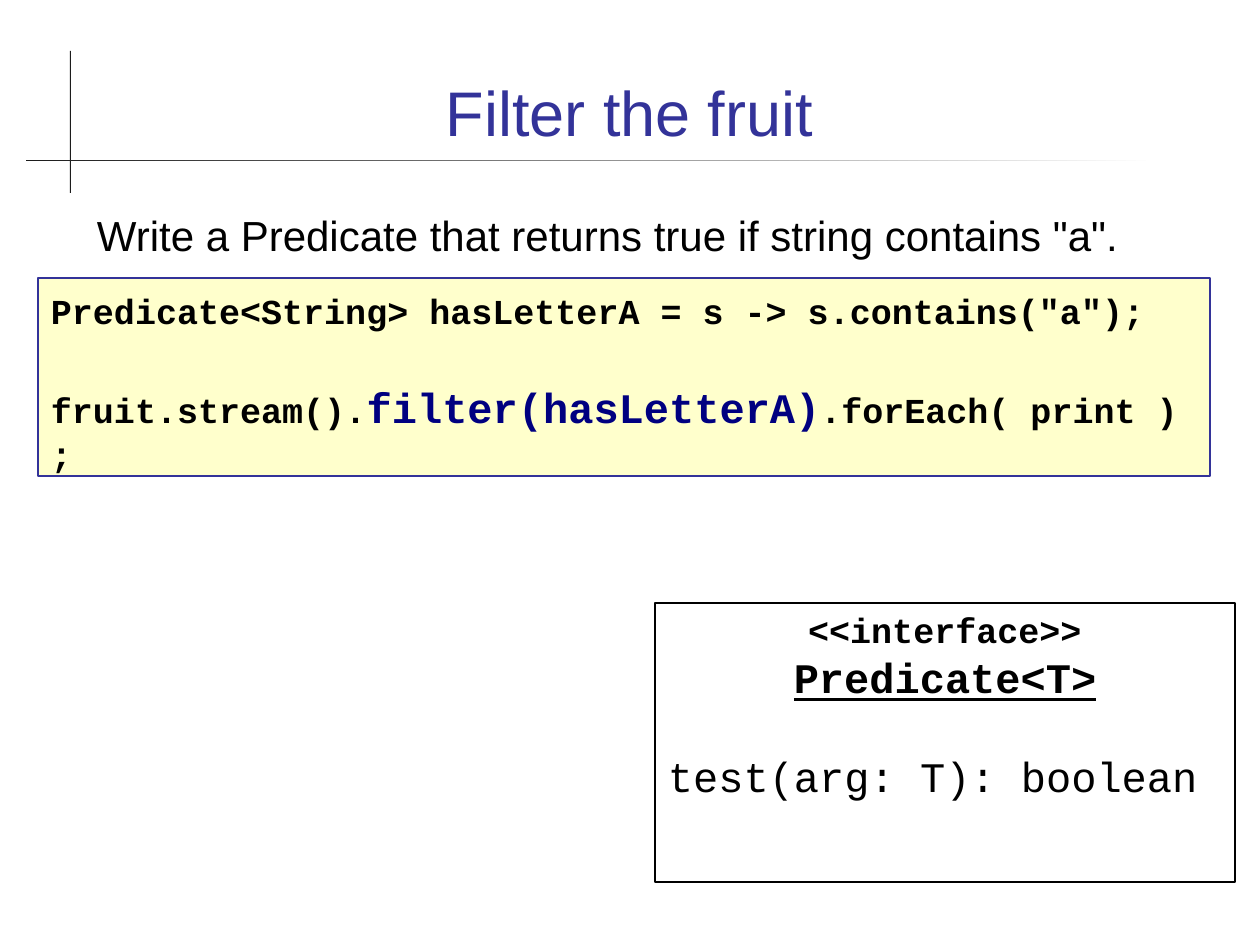
from dataclasses import dataclass
from typing import Optional

from pptx import Presentation
from pptx import util as u
from pptx.dml.color import RGBColor
from pptx.enum import shapes, text

EMU_PER_PX = 914400 / 126


@dataclass(frozen=True)
class Theme:
    sans: str = "Arial"
    mono: str = "Courier New"
    black: str = "000000"
    white: str = "FFFFFF"
    rule: str = "1C1C1C"
    title: str = "333399"
    highlight: str = "000080"
    code_fill: str = "FFFFCC"
    title_size: int = 36
    large: int = 24
    small: int = 20
    outline: float = 0.75


THEME = Theme()


@dataclass(frozen=True)
class Span:
    words: str
    size: int = THEME.large
    font: str = THEME.mono
    color: str = THEME.black
    bold: bool = False
    underline: bool = False


@dataclass(frozen=True)
class Para:
    spans: tuple[Span, ...]
    centered: bool = False
    before: float = 0


@dataclass(frozen=True)
class Box:
    left: int
    top: int
    width: int
    height: int
    paras: tuple[Para, ...] = ()
    fill: Optional[str] = None
    line: Optional[str] = None
    margin_top: int = 6
    bottom: bool = False


def px(length: int) -> u.Emu:
    return u.Emu(round(length * EMU_PER_PX))


def rgb(color: str) -> RGBColor:
    return RGBColor.from_string(color)


def add_para(paragraph, para: Para) -> None:
    paragraph.alignment = text.PP_ALIGN.CENTER if para.centered else text.PP_ALIGN.LEFT
    if para.before:
        paragraph.space_before = u.Pt(para.before)
    for span in para.spans:
        run = paragraph.add_run()
        run.text = span.words
        font = run.font
        font.name, font.size = span.font, u.Pt(span.size)
        font.bold, font.underline = span.bold, span.underline
        font.color.rgb = rgb(span.color)


def add_box(page, box: Box):
    """Draw a rectangle, or a plain text box when it has no fill or line."""
    place = [px(n) for n in (box.left, box.top, box.width, box.height)]
    if box.fill or box.line:
        shape = page.shapes.add_shape(shapes.MSO_SHAPE.RECTANGLE, *place)
        shape.shadow.inherit = False
    else:
        shape = page.shapes.add_textbox(*place)
    if box.fill:
        shape.fill.solid()
        shape.fill.fore_color.rgb = rgb(box.fill)
    else:
        shape.fill.background()
    if box.line:
        shape.line.color.rgb = rgb(box.line)
        shape.line.width = u.Pt(THEME.outline)
    else:
        shape.line.fill.background()

    frame = shape.text_frame
    frame.word_wrap = True
    frame.margin_left = frame.margin_right = px(13)
    frame.margin_top, frame.margin_bottom = px(box.margin_top), px(6)
    frame.vertical_anchor = text.MSO_ANCHOR.BOTTOM if box.bottom else text.MSO_ANCHOR.TOP
    for index, para in enumerate(box.paras):
        add_para(frame.paragraphs[0] if index == 0 else frame.add_paragraph(), para)
    return shape


def add_rules(page) -> None:
    """Draw the crossed title rules; the horizontal one fades to the right."""
    add_box(page, Box(70, 51, 1, 142, fill=THEME.rule))
    fading = add_box(page, Box(26, 160, 1130, 1, fill=THEME.rule))
    fading.fill.gradient()
    fading.fill.gradient_angle = 0
    for stop, color in zip(fading.fill.gradient_stops, (THEME.rule, THEME.white)):
        stop.color.rgb = rgb(color)


def code(words: str) -> Span:
    return Span(words, THEME.small, bold=True)


TITLE = Box(84, 35, 1091, 120, bottom=True, paras=(
    Para((Span("Filter the fruit", THEME.title_size, THEME.sans, THEME.title),), centered=True),
))
TASK = Box(84, 199, 1142, 66, margin_top=10, paras=(
    Para((Span('Write a Predicate that returns true if string contains "a".', font=THEME.sans),)),
))
CODE = Box(38, 278, 1172, 198, fill=THEME.code_fill, line=THEME.title, margin_top=11, paras=(
    Para((code('Predicate<String> hasLetterA = s -> s.contains("a");'),)),
    Para((
        code("fruit.stream()."),
        Span("filter(hasLetterA)", color=THEME.highlight, bold=True),
        code(".forEach( print );"),
    ), before=29),
))
INTERFACE = Box(655, 603, 580, 279, line=THEME.black, paras=(
    Para((code("<<interface>>"),), centered=True),
    Para((Span("Predicate<T>", bold=True, underline=True),), centered=True),
    Para((Span("test(arg: T): boolean"),), before=28),
))


def main() -> None:
    deck = Presentation()
    deck.slide_width, deck.slide_height = px(1260), px(945)
    page = deck.slides.add_slide(deck.slide_layouts[6])
    add_rules(page)
    for box in (TITLE, TASK, CODE, INTERFACE):
        add_box(page, box)
    deck.save("out.pptx")


if __name__ == "__main__":
    main()
